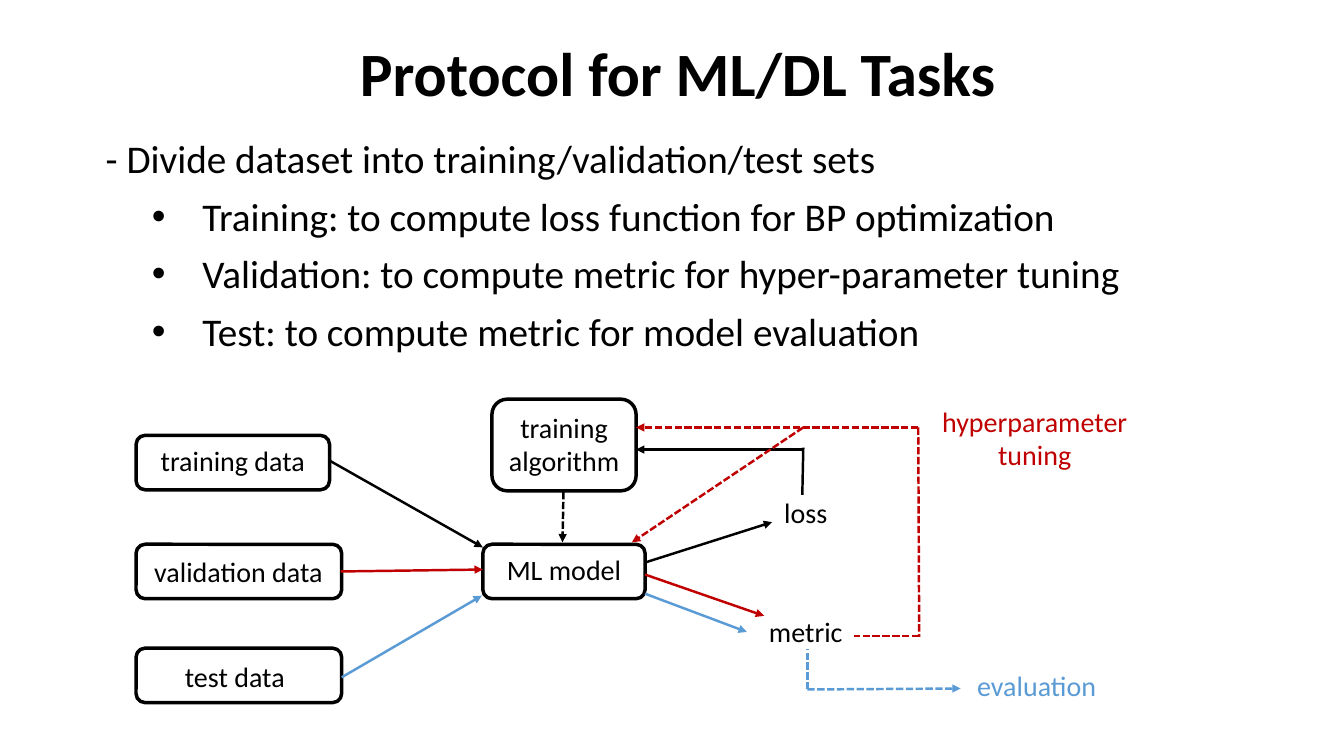
"""Builds the slide on the training, validation and test protocol."""
from dataclasses import dataclass

from lxml import etree
from pptx import Presentation
from pptx.dml.color import RGBColor
from pptx.enum.dml import MSO_LINE
from pptx.enum.shapes import MSO_CONNECTOR, MSO_SHAPE
from pptx.enum.text import MSO_ANCHOR, PP_ALIGN
from pptx.oxml.ns import qn
from pptx.util import Pt

LEFT, CENTER = PP_ALIGN.LEFT, PP_ALIGN.CENTER
TOP, MIDDLE = MSO_ANCHOR.TOP, MSO_ANCHOR.MIDDLE
ROUNDED = MSO_SHAPE.ROUNDED_RECTANGLE
STRAIGHT = MSO_CONNECTOR.STRAIGHT
DASH = MSO_LINE.SQUARE_DOT


@dataclass(frozen=True)
class Theme:
    """Holds the font, colours, type sizes and line widths."""
    font: str = "Calibri"
    black: RGBColor = RGBColor(0x00, 0x00, 0x00)
    red: RGBColor = RGBColor(0xC0, 0x00, 0x00)
    blue: RGBColor = RGBColor(0x5B, 0x9B, 0xD5)
    title: int = 44
    body: int = 28
    label: int = 20
    outline: float = 2.5
    arrow: float = 1.75


THEME = Theme()

BULLETS = (
    "Training: to compute loss function for BP optimization",
    "Validation: to compute metric for hyper-parameter tuning",
    "Test: to compute metric for model evaluation",
)

OUTLINES = (
    (97.2, 311, 138.2, 38.9),
    (97.2, 388.8, 146.9, 38.9),
    (97.2, 463, 146.9, 38.9),
    (344.9, 388.8, 115.9, 38.9),
    (351.4, 285.1, 103, 65.5),
)

LABELS = (
    ("training data", (97.2, 313.2, 138.2, 31.7), THEME.black),
    ("validation data", (92.9, 392.4, 154.8, 31.7), THEME.black),
    ("test data", (105.1, 467.3, 125.3, 31.7), THEME.black),
    ("ML model", (344.9, 391, 115.9, 31.7), THEME.black),
    ("training algorithm", (351.4, 289.4, 103, 55.4), THEME.black),
    ("loss", (533.5, 350.6, 84.2, 31.7), THEME.black),
    ("metric", (533.5, 435.6, 84.2, 31.7), THEME.black),
    ("hyperparameter tuning", (657.4, 285.1, 163.4, 55.4), THEME.red),
    ("evaluation", (658.8, 473.8, 163.4, 31.7), THEME.blue),
)

SOLID_ARROWS = (
    ((235.4, 329), (344.9, 391), THEME.black),
    ((243.4, 408.2), (344.9, 406.8), THEME.red),
    ((244.1, 483.8), (344.2, 425.5), THEME.blue),
    ((460.8, 401.8), (551.5, 373), THEME.black),
    ((460.8, 410.4), (545.8, 439.9), THEME.red),
    ((460.8, 424.1), (533.5, 451.4), THEME.blue),
    ((573.8, 321.1), (454.3, 321.1), THEME.black),
)

DASHED_ARROWS = (
    ((402.5, 351.4), (401.8, 387.4), THEME.black),
    ((655.9, 305.3), (454.3, 305.3), THEME.red),
    ((573.8, 305.3), (451.4, 387.4), THEME.red),
    ((576.7, 492.5), (686.2, 491.8), THEME.blue),
)

DASHED_LINES = (
    ((656.6, 454.3), (609.8, 454.3), THEME.red),
    ((655.9, 305.3), (656.6, 455), THEME.red),
    ((576.7, 492.5), (576.7, 463.7), THEME.blue),
)


def add_text(page, text, area, size, color=THEME.black, align=LEFT, anchor=TOP):
    """Adds a wrapping text box and returns its paragraph."""
    box = page.shapes.add_textbox(*map(Pt, area))
    frame = box.text_frame
    frame.word_wrap = True
    frame.vertical_anchor = anchor
    frame.text = text
    para = frame.paragraphs[0]
    para.alignment = align
    font = para.runs[0].font
    font.name = THEME.font
    font.size = Pt(size)
    font.color.rgb = color
    return para


def add_title(page, text):
    """Adds the bold centred heading."""
    para = add_text(page, text, (68.4, 19.4, 831.6, 70.6), THEME.title,
                    align=CENTER, anchor=MIDDLE)
    para.line_spacing = 0.9
    para.runs[0].font.bold = True


def add_bullet(page, text, top):
    """Adds one bulleted line with a hanging indent."""
    para = add_text(page, text, (101.5, top, 850, 41), THEME.body)
    properties = para._p.get_or_add_pPr()
    properties.set("marL", str(Pt(36)))
    properties.set("indent", str(-Pt(36)))
    etree.SubElement(properties, qn("a:buFont"), typeface="Arial")
    etree.SubElement(properties, qn("a:buChar"), char="•")


def add_outline(page, area):
    """Adds an unfilled rounded frame."""
    shape = page.shapes.add_shape(ROUNDED, *map(Pt, area))
    shape.shadow.inherit = False
    shape.fill.background()
    shape.line.color.rgb = THEME.black
    shape.line.width = Pt(THEME.outline)


def add_line(page, start, end, color, dashed=False, arrow=True):
    """Adds a straight line, with an arrowhead at its end if wanted."""
    connector = page.shapes.add_connector(STRAIGHT, *map(Pt, start + end))
    line = connector.line
    line.color.rgb = color
    line.width = Pt(THEME.arrow)
    if dashed:
        line.dash_style = DASH
    if arrow:
        etree.SubElement(line._get_or_add_ln(), qn("a:tailEnd"), type="triangle")
    etree.SubElement(connector._element.spPr, qn("a:effectLst"))


def add_diagram(page):
    """Draws the data flow between data sets, model and results."""
    for area in OUTLINES:
        add_outline(page, area)
    for text, area, color in LABELS:
        add_text(page, text, area, THEME.label, color, CENTER)
    for route in SOLID_ARROWS:
        add_line(page, *route)
    for route in DASHED_ARROWS:
        add_line(page, *route, dashed=True)
    for route in DASHED_LINES:
        add_line(page, *route, dashed=True, arrow=False)
    add_line(page, (573.8, 319.7), (573.1, 353.5), THEME.black, arrow=False)


def main():
    """Builds and saves the deck."""
    deck = Presentation()
    deck.slide_width, deck.slide_height = Pt(960), Pt(540)
    page = deck.slides.add_slide(deck.slide_layouts[6])
    add_title(page, "Protocol for ML/DL Tasks")
    add_text(page, "- Divide dataset into training/validation/test sets",
             (68.4, 92.2, 831.6, 41), THEME.body)
    for row, text in enumerate(BULLETS):
        add_bullet(page, text, 133.7 + 41.2 * row)
    add_diagram(page)
    deck.save("out.pptx")


if __name__ == "__main__":
    main()
